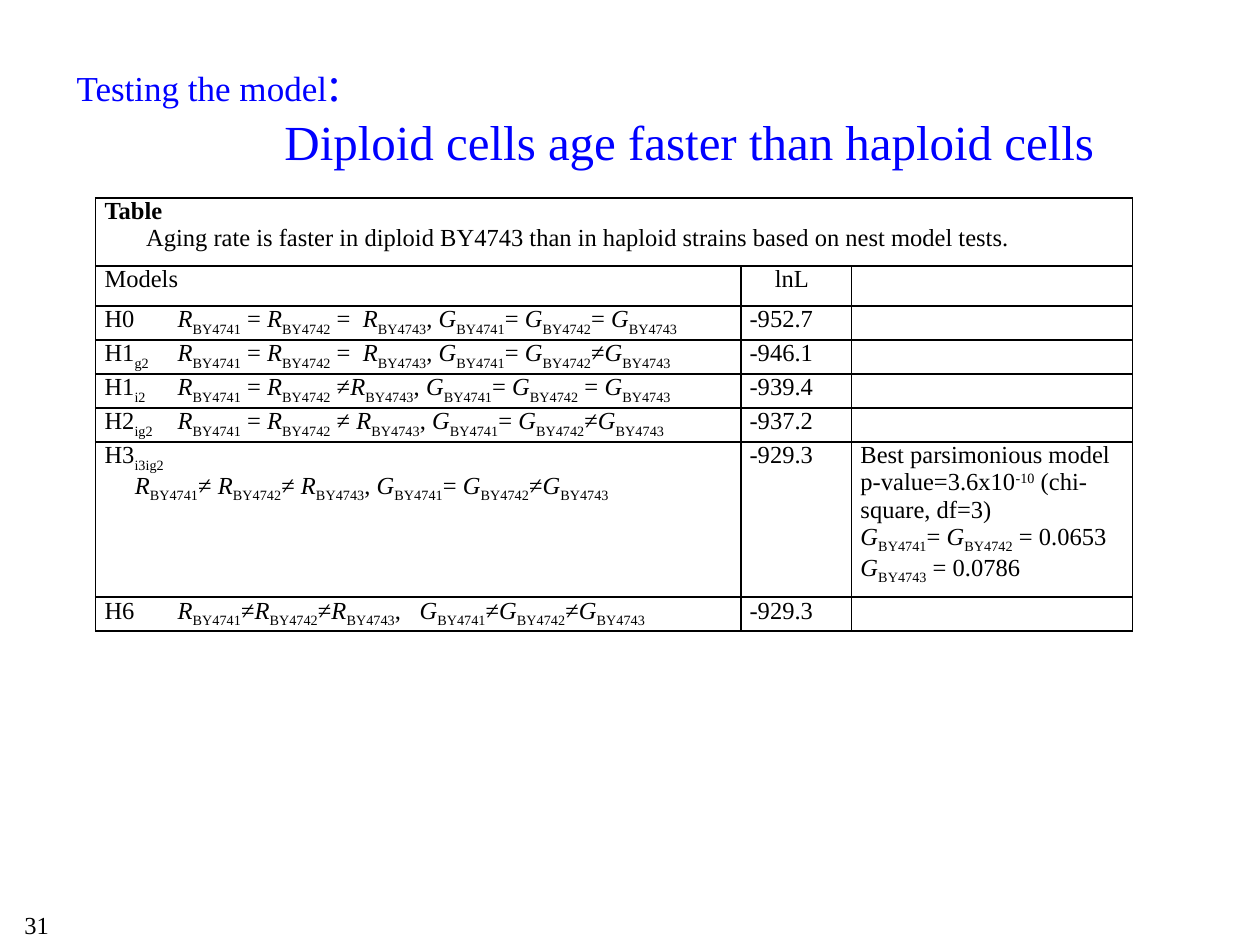
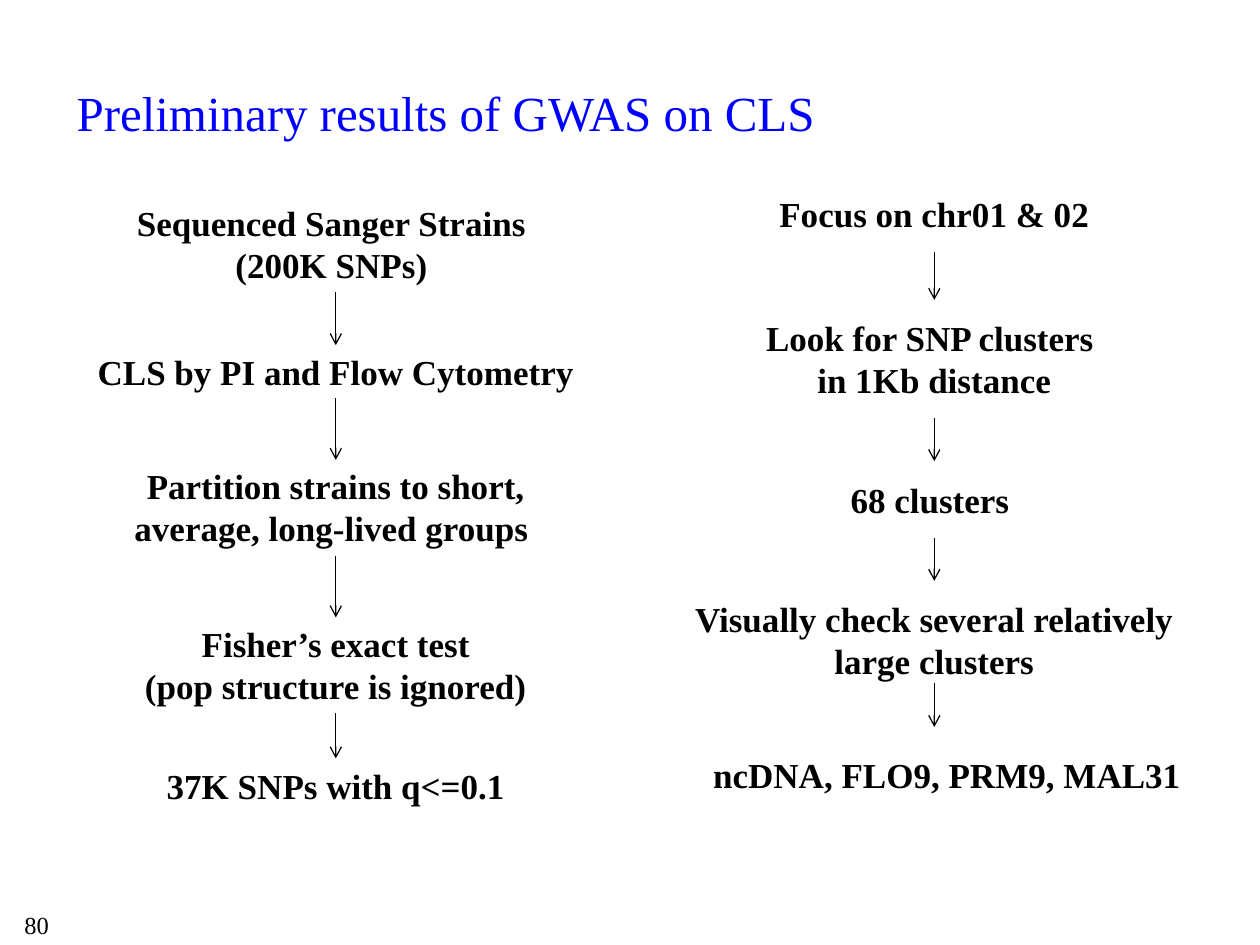
import pptx
import pptx.util
import pptx.dml.color
import pptx.enum.shapes
import pptx.enum.text
import pptx.oxml.ns
from lxml import etree

Inches, Pt = pptx.util.Inches, pptx.util.Pt
CENTER = pptx.enum.text.PP_ALIGN.CENTER
MIDDLE = pptx.enum.text.MSO_ANCHOR.MIDDLE
qn = pptx.oxml.ns.qn

COLORS = {"title": "0000FF", "text": "000000"}
FONT = "Times New Roman"
FORMATS = {
    "title": {"size": Pt(28), "color": "title"},
    "kicker": {"size": Pt(20), "color": "title"},
    "step": {"size": Pt(20), "bold": True},
    "small": {"size": Pt(14)},
}

# Shared places: left, top, width, height
TITLE_BOX = (0.51, 0.26, 8.5, 1.25)
NUMBER_BOX = (-0.45, 7.17, 1.48, 0.33)

# Markup: *italic*, #bold#, ~subscript~, ^superscript^
R1, R2, R3 = (f"*R*~BY474{n}~" for n in (1, 2, 3))
G1, G2, G3 = (f"*G*~BY474{n}~" for n in (1, 2, 3))

# Model table: each cell is a list of (text, indent) paragraphs
TABLE_AT = (0.76, 1.57)
COLUMN_WIDTHS = (5.12, 0.88, 2.23)
ROW_HEIGHTS = (0.54, 0.32, 0.27, 0.27, 0.27, 0.27, 1.07, 0.27)
TAB_STOPS = (0.58, 2.5)
CAPTION = "Aging rate is faster in diploid BY4743 than in haploid strains based on nest model tests."
MODEL_ROWS = [
    ([("#Table#", 0), (CAPTION, 0.33)], [], []),
    ([("Models", 0)], [("lnL", 0.2)], []),
    ([(f"H0\t{R1} = {R2} =  {R3}, {G1}= {G2}= {G3}", 0)], [("-952.7", 0)], []),
    ([(f"H1~g2~\t{R1} = {R2} =  {R3}, {G1}= {G2}≠{G3}", 0)], [("-946.1", 0)], []),
    ([(f"H1~i2~\t{R1} = {R2} ≠{R3}, {G1}= {G2} = {G3}", 0)], [("-939.4", 0)], []),
    ([(f"H2~ig2~\t{R1} = {R2} ≠ {R3}, {G1}= {G2}≠{G3}", 0)], [("-937.2", 0)], []),
    (
        [("H3~i3ig2~", 0), (f"{R1}≠ {R2}≠ {R3}, {G1}= {G2}≠{G3}", 0.24)],
        [("-929.3", 0)],
        [
            ("Best parsimonious model", 0),
            ("p-value=3.6x10^-10^ (chi-square, df=3)", 0),
            (f"{G1}= {G2} = 0.0653", 0),
            (f"{G3} = 0.0786", 0),
        ],
    ),
    ([(f"H6\t{R1}≠{R2}≠{R3},\t{G1}≠{G2}≠{G3}", 0)], [("-929.3", 0)], []),
]

# Flow columns: steps are (top, shift, lines), arrows are (start, end)
STEP_WIDTH = 4.03
FLOWS = [
    {
        "left": 0.65,
        "steps": [
            (1.55, 0, ["Sequenced Sanger Strains ", "(200K SNPs) "]),
            (2.73, 0, ["CLS by PI and Flow Cytometry "]),
            (3.64, 0, ["Partition strains to short, average, long-lived groups "]),
            (4.89, 0, ["Fisher’s exact test", "(pop structure is ignored)"]),
            (6.02, 0, ["37K SNPs with q<=0.1"]),
        ],
        "arrows": [(2.32, 2.74), (3.16, 3.65), (4.41, 4.9), (5.66, 6.02)],
    },
    {
        "left": 5.4,
        "steps": [
            (1.48, 0, ["Focus on chr01 & 02"]),
            (2.46, 0, ["Look for SNP clusters ", "in 1Kb distance"]),
            (3.75, 0, ["68 clusters "]),
            (4.69, 0, ["Visually check several relatively large clusters"]),
            (5.93, 0.1, ["ncDNA, FLO9, PRM9, MAL31"]),
        ],
        "arrows": [(2, 2.38), (3.32, 3.66), (4.27, 4.61), (5.42, 5.77)],
    },
]


def add_span(para, text, style, **extra):
    span = para.add_run()
    span.text = text
    values = {"name": FONT, "color": "text", **FORMATS[style], **extra}
    span.font.color.rgb = pptx.dml.color.RGBColor.from_string(COLORS[values.pop("color")])
    for name, value in values.items():
        setattr(span.font, name, value)
    return span


def add_marked_text(para, text):
    """Turn the markup characters into differently formatted spans."""
    active, piece = set(), ""

    def flush():
        if piece:
            span = add_span(para, piece, "small", italic="*" in active, bold="#" in active)
            for mark, shift in (("~", "-25000"), ("^", "30000")):
                if mark in active:
                    span.font._element.set("baseline", shift)

    for letter in text:
        if letter in "*#~^":
            flush()
            active ^= {letter}
            piece = ""
        else:
            piece += letter
    flush()


def add_box(page, place, lines, align=None, anchor=None):
    """Each line is a list of (text, style) spans."""
    box = page.shapes.add_textbox(*map(Inches, place))
    frame = box.text_frame
    frame.word_wrap = True
    frame.vertical_anchor = anchor
    for index, spans in enumerate(lines):
        para = frame.paragraphs[0] if index == 0 else frame.add_paragraph()
        para.alignment = align
        for text, style in spans:
            add_span(para, text, style)
    return box


def add_page(deck, number, title_lines):
    page = deck.slides.add_slide(deck.slide_layouts[6])
    add_box(page, NUMBER_BOX, [[(number, "small")]], CENTER)
    title = add_box(page, TITLE_BOX, title_lines, anchor=MIDDLE)
    return page, title


def indent(para, inches):
    para._p.get_or_add_pPr().set("marL", str(Inches(inches)))


def set_tabs(para):
    tabs = etree.SubElement(para._p.get_or_add_pPr(), qn("a:tabLst"))
    for stop in TAB_STOPS:
        etree.SubElement(tabs, qn("a:tab"), pos=str(Inches(stop)), algn="l")


def draw_borders(cell):
    properties = cell._tc.get_or_add_tcPr()
    for side in ("lnL", "lnR", "lnT", "lnB"):
        line = etree.SubElement(properties, qn(f"a:{side}"), w=str(Pt(1)))
        fill = etree.SubElement(line, qn("a:solidFill"))
        etree.SubElement(fill, qn("a:srgbClr"), val=COLORS["text"])


def fill_cell(cell, paragraphs):
    margins = {"margin_left": 0.07, "margin_right": 0.07, "margin_top": 0, "margin_bottom": 0}
    for name, value in margins.items():
        setattr(cell, name, Inches(value))
    draw_borders(cell)
    cell.fill.background()
    frame = cell.text_frame
    for index, (text, inset) in enumerate(paragraphs):
        para = frame.paragraphs[0] if index == 0 else frame.add_paragraph()
        if inset:
            indent(para, inset)
        if "\t" in text:
            set_tabs(para)
        add_marked_text(para, text)
    if not paragraphs:
        etree.SubElement(frame.paragraphs[0]._p, qn("a:endParaRPr"), sz="1400")


def add_model_table(page):
    size = (sum(COLUMN_WIDTHS), sum(ROW_HEIGHTS))
    places = map(Inches, TABLE_AT + size)
    table = page.shapes.add_table(len(ROW_HEIGHTS), len(COLUMN_WIDTHS), *places).table
    table.first_row = table.horz_banding = False
    for column, width in zip(table.columns, COLUMN_WIDTHS):
        column.width = Inches(width)
    for row, height, contents in zip(table.rows, ROW_HEIGHTS, MODEL_ROWS):
        row.height = Inches(height)
        for cell, paragraphs in zip(row.cells, contents):
            fill_cell(cell, paragraphs)
    table.cell(0, 0).merge(table.cell(0, len(COLUMN_WIDTHS) - 1))


def add_arrow(page, x, start, end):
    straight = pptx.enum.shapes.MSO_CONNECTOR.STRAIGHT
    arrow = page.shapes.add_connector(straight, *map(Inches, (x, start, x, end)))
    arrow.line.color.rgb = pptx.dml.color.RGBColor.from_string(COLORS["text"])
    arrow.line.width = Pt(0.75)
    etree.SubElement(arrow.line._get_or_add_ln(), qn("a:tailEnd"), type="arrow")
    etree.SubElement(arrow._element.spPr, qn("a:effectLst"))


def add_flow(page, flow):
    for top, shift, lines in flow["steps"]:
        place = (flow["left"] + shift, top, STEP_WIDTH, 0.44 if len(lines) == 1 else 0.77)
        box = add_box(page, place, [[(line, "step")] for line in lines], CENTER)
        box.text_frame.auto_size = pptx.enum.text.MSO_AUTO_SIZE.SHAPE_TO_FIT_TEXT
    for start, end in flow["arrows"]:
        add_arrow(page, flow["left"] + STEP_WIDTH / 2, start, end)


def main():
    deck = pptx.Presentation()
    deck.slide_width, deck.slide_height = Inches(10), Inches(7.5)

    # Model test
    page, title = add_page(deck, "31", [
        [("Testing the model", "kicker"), (":", "title")],
        [("Diploid cells age faster than haploid cells", "title")],
    ])
    indent(title.text_frame.paragraphs[1], 1.65)
    add_model_table(page)

    # GWAS workflow
    page, title = add_page(deck, "80", [[("Preliminary results of GWAS on CLS", "title")]])
    for flow in FLOWS:
        add_flow(page, flow)

    deck.save("out.pptx")


if __name__ == "__main__":
    main()
